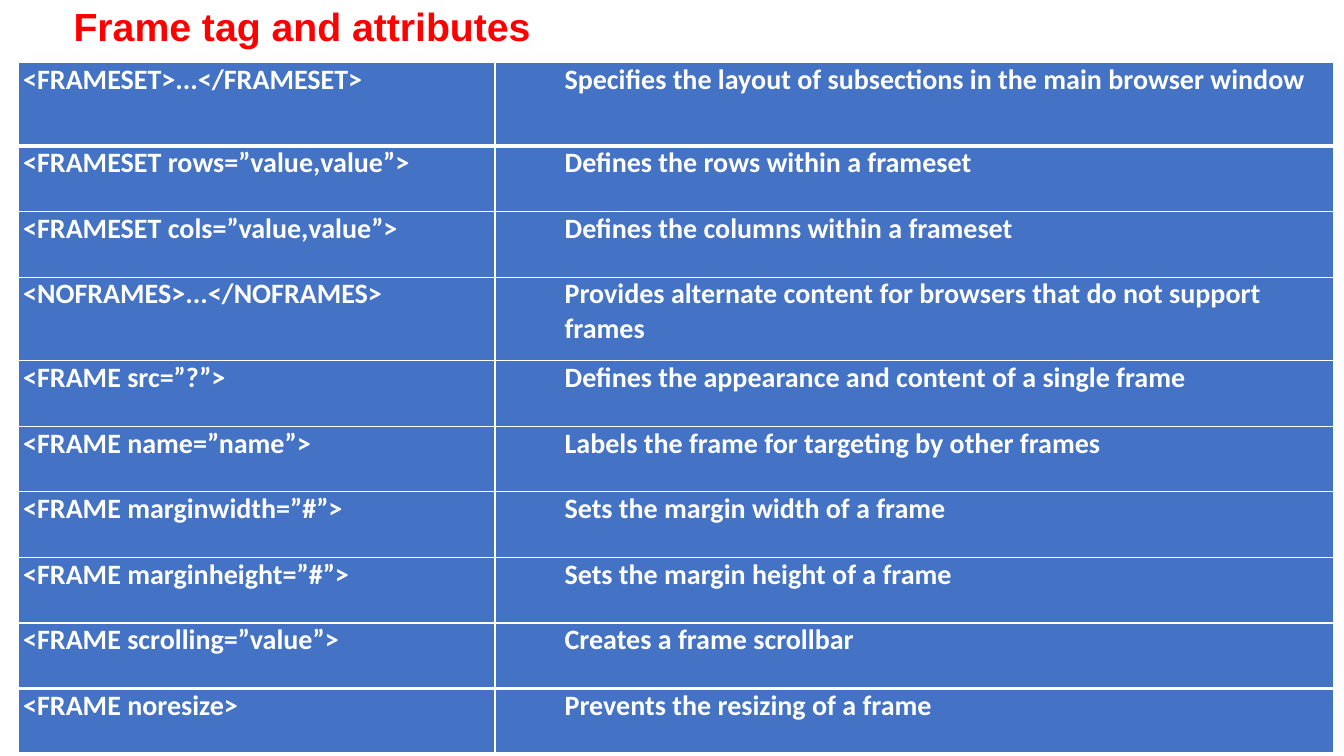
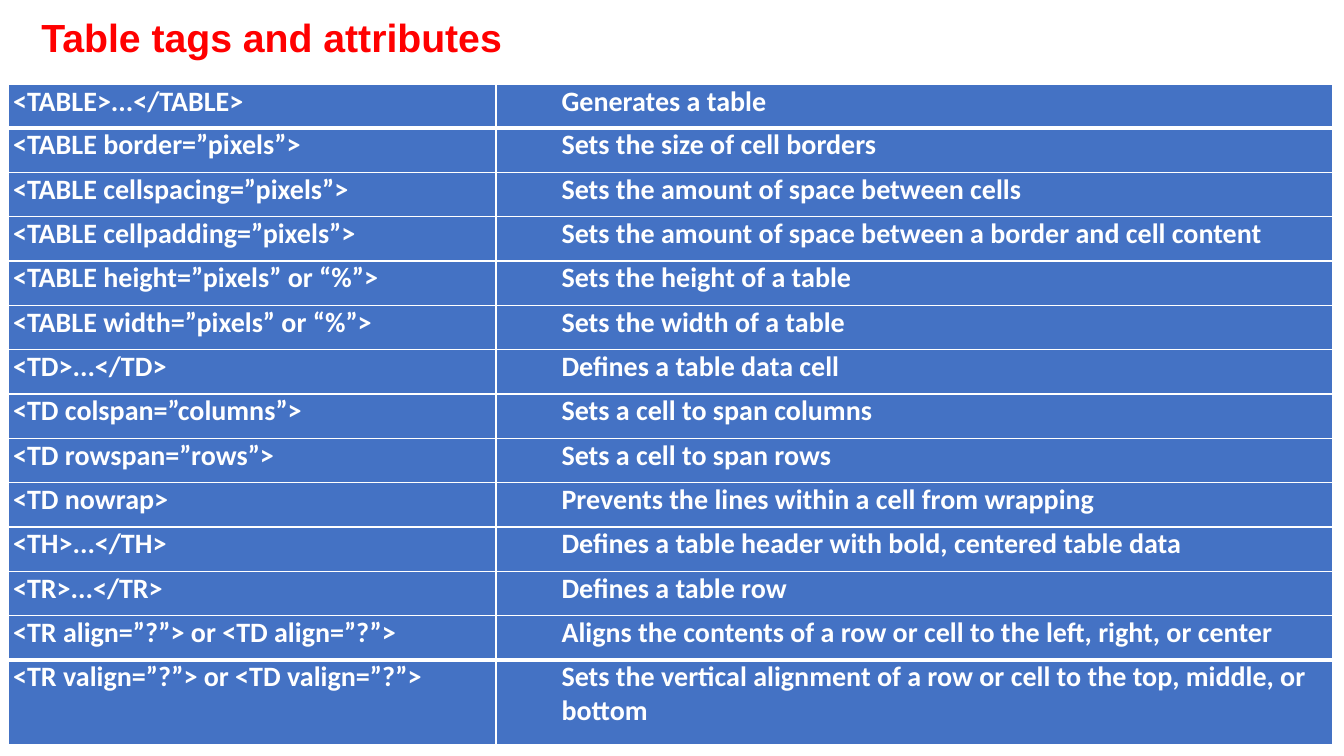
from lxml import etree
from pptx import Presentation
from pptx.dml.color import RGBColor
from pptx.enum.text import MSO_ANCHOR, MSO_AUTO_SIZE, PP_ALIGN
from pptx.oxml.ns import qn
from pptx.util import Pt

PX = 9144  # EMU in one px, 100 px to the inch
TOP, LEFT, NONE = MSO_ANCHOR.TOP, PP_ALIGN.LEFT, MSO_AUTO_SIZE.NONE
COLORS = {"title": "FF0000", "fill": "4472C4", "text": "FFFFFF", "rule": "FFFFFF"}
THIN, THICK = 1, 3

FRAMES = [
    ("<FRAMESET>...</FRAMESET>", "Specifies the layout of subsections in the main browser window"),
    ("<FRAMESET rows=”value,value”>", "Defines the rows within a frameset"),
    ("<FRAMESET cols=”value,value”>", "Defines the columns within a frameset"),
    ("<NOFRAMES>...</NOFRAMES>", "Provides alternate content for browsers that do not support frames"),
    ("<FRAME src=”?”>", "Defines the appearance and content of a single frame"),
    ("<FRAME name=”name”>", "Labels the frame for targeting by other frames"),
    ("<FRAME marginwidth=”#”>", "Sets the margin width of a frame"),
    ("<FRAME marginheight=”#”>", "Sets the margin height of a frame"),
    ("<FRAME scrolling=”value”>", "Creates a frame scrollbar"),
    ("<FRAME noresize>", "Prevents the resizing of a frame"),
]
TABLES = [
    ("<TABLE>...</TABLE>", "Generates a table"),
    ("<TABLE border=”pixels”>", "Sets the size of cell borders"),
    ("<TABLE cellspacing=”pixels”>", "Sets the amount of space between cells"),
    ("<TABLE cellpadding=”pixels”>", "Sets the amount of space between a border and cell content"),
    ("<TABLE height=”pixels” or “%”>", "Sets the height of a table"),
    ("<TABLE width=”pixels” or “%”>", "Sets the width of a table"),
    ("<TD>...</TD>", "Defines a table data cell"),
    ("<TD colspan=”columns”>", "Sets a cell to span columns"),
    ("<TD rowspan=”rows”>", "Sets a cell to span rows"),
    ("<TD nowrap>", "Prevents the lines within a cell from wrapping"),
    ("<TH>...</TH>", "Defines a table header with bold, centered table data"),
    ("<TR>...</TR>", "Defines a table row"),
    ("<TR align=”?”> or <TD align=”?”>", "Aligns the contents of a row or cell to the left, right, or center"),
    ("<TR valign=”?”> or <TD valign=”?”>",
     "Sets the vertical alignment of a row or cell to the top, middle, or bottom"),
]
# Boxes are left, top, width, height; tall maps a row to its own height.
SLIDES = [
    {"title": "Frame tag and attributes", "box": (73, 28, 559, 73), "rows": FRAMES,
     "at": (18, 62), "cols": (473, 832), "row": 65, "tall": {0: 83, 3: 83, 9: 64}, "indent": 69},
    {"title": "Table tags and attributes", "box": (41, 39, 548, 99), "rows": TABLES,
     "at": (8, 84), "cols": (484, 830), "row": 44, "tall": {0: 43, 13: 84}, "indent": 65},
]


def style(para, font, size, color):
    para.alignment = LEFT
    for run in para.runs:
        run.font.name, run.font.size, run.font.bold = font, Pt(size), True
        run.font.color.rgb = RGBColor.from_string(COLORS[color])


def border(cell, side, width):
    line = etree.SubElement(cell._tc.get_or_add_tcPr(), qn("a:ln" + side), w=str(Pt(width)))
    fill = etree.SubElement(line, qn("a:solidFill"))
    etree.SubElement(fill, qn("a:srgbClr"), val=COLORS["rule"])


deck = Presentation()
deck.slide_width, deck.slide_height = 1333 * PX, 750 * PX

for page in SLIDES:
    slide = deck.slides.add_slide(deck.slide_layouts[5])

    rows, cols = page["rows"], page["cols"]
    highs = [page["tall"].get(i, page["row"]) for i in range(len(rows))]
    box = (*page["at"], sum(cols), sum(highs))
    table = slide.shapes.add_table(len(rows), len(cols), *(n * PX for n in box)).table
    table.first_row = table.horz_banding = False
    for col, wide in zip(table.columns, cols):
        col.width = wide * PX
    for row, high in zip(table.rows, highs):
        row.height = high * PX

    # The first row and the last row are set off by a thick rule.
    rules = [THICK if i in (1, len(rows) - 1) else THIN for i in range(len(rows) + 1)]
    for i, texts in enumerate(rows):
        for j, (text, indent, gap) in enumerate(zip(texts, (5, page["indent"]), (2.3, 1.9))):
            cell = table.cell(i, j)
            cell.margin_left = cell.margin_right = cell.margin_top = cell.margin_bottom = 0
            for side, width in zip("LRTB", (THIN, THIN, rules[i], rules[i + 1])):
                border(cell, side, width)
            cell.fill.solid()
            cell.fill.fore_color.rgb = RGBColor.from_string(COLORS["fill"])
            para = cell.text_frame.paragraphs[0]
            para.text = text
            para.space_before = Pt(gap)
            props = para._p.get_or_add_pPr()
            props.set("marL", str(indent * PX))
            props.set("indent", "0")
            style(para, "Calibri", 20, "text")

    title = slide.shapes.title
    title.left, title.top, title.width, title.height = (n * PX for n in page["box"])
    frame = title.text_frame
    frame.text = page["title"]
    frame.word_wrap, frame.auto_size, frame.vertical_anchor = True, NONE, TOP
    frame.margin_left = frame.margin_right = frame.margin_top = frame.margin_bottom = 0
    frame.paragraphs[0].line_spacing = Pt(15.2)
    style(frame.paragraphs[0], "Arial", 28, "title")
    slide.shapes.element.append(title.element)  # in front of the table

deck.save("out.pptx")
